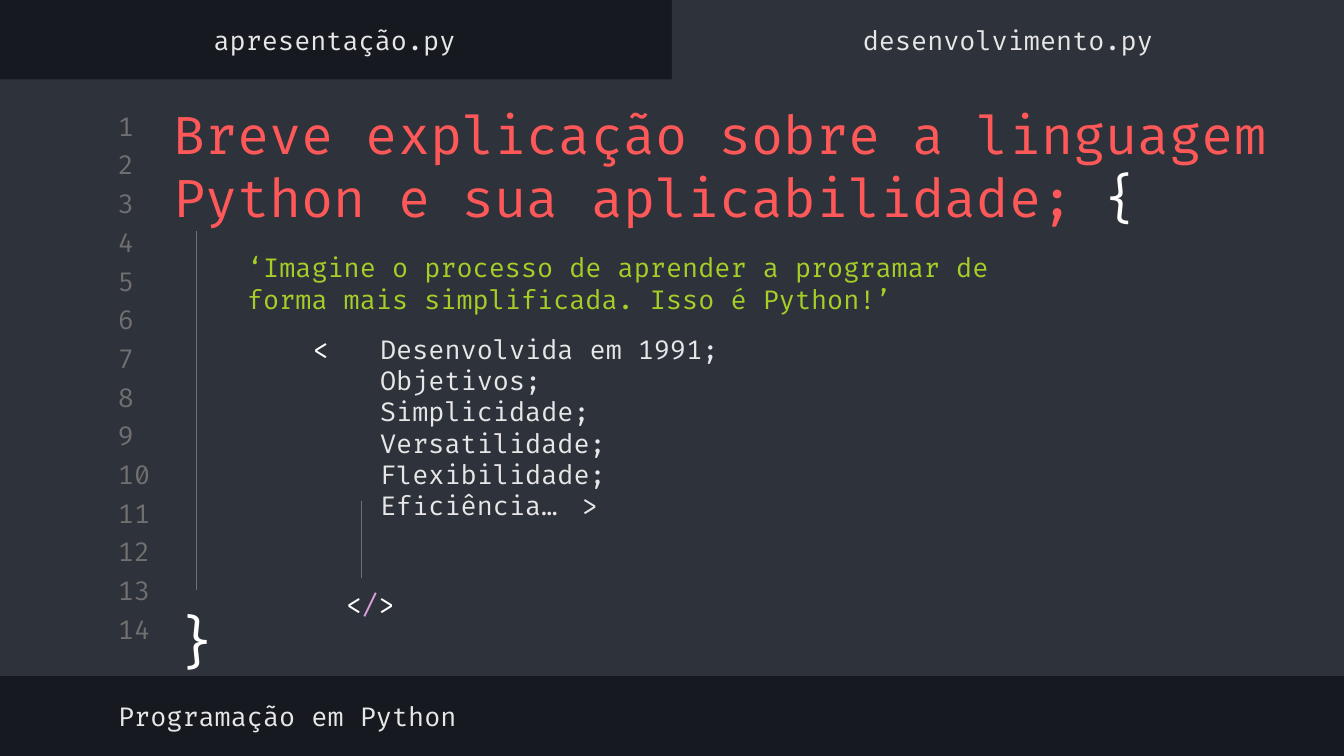
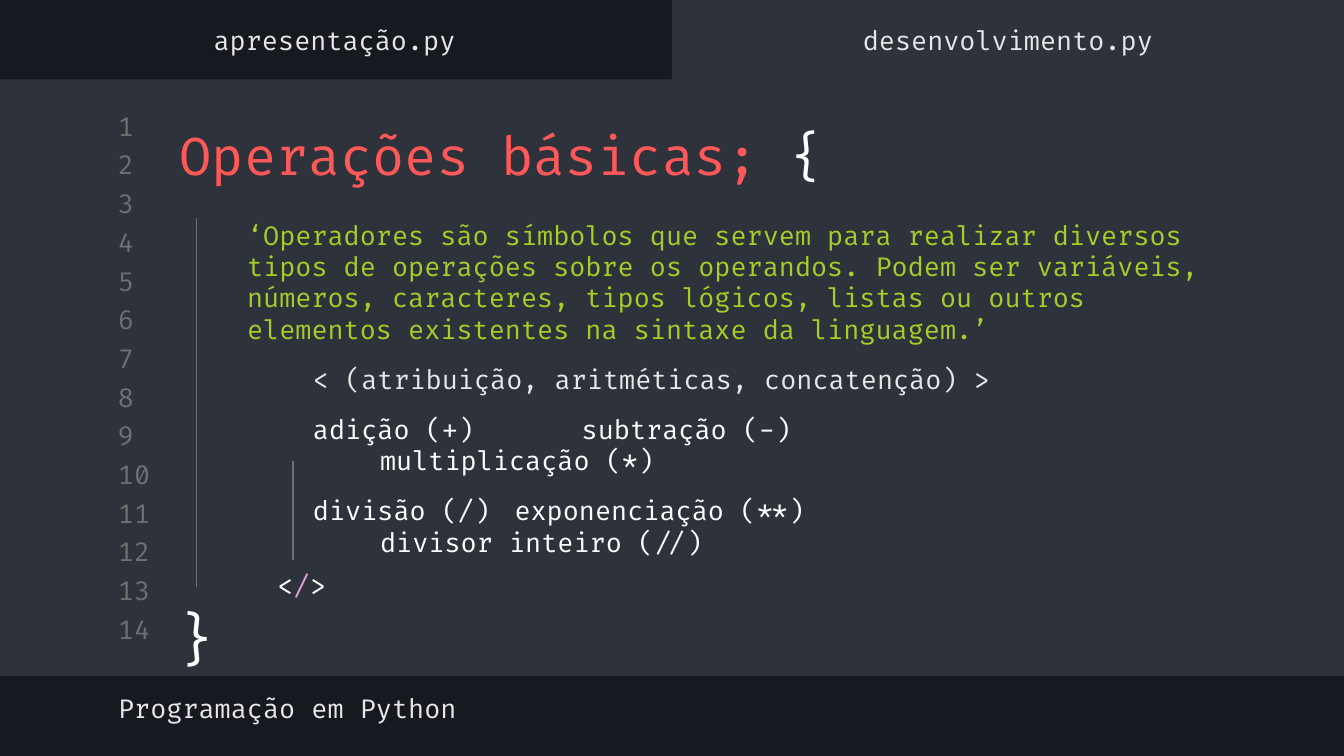
import pptx
import pptx.util
import pptx.dml.color
import pptx.enum.shapes
import pptx.enum.text
import pptx.oxml.ns
from lxml import etree

RGB = pptx.dml.color.RGBColor
NIGHT = RGB(0x16, 0x19, 0x1F)
PANEL = RGB(0x2E, 0x32, 0x3B)
GRAY = RGB(0x70, 0x70, 0x70)
LIGHT = RGB(0xE7, 0xE7, 0xE7)
WHITE = RGB(0xFF, 0xFF, 0xFF)
RED = RGB(0xFF, 0x58, 0x58)
GREEN = RGB(0xA5, 0xCF, 0x27)
PINK = RGB(0xDB, 0xA0, 0xDB)

COLUMNS, ROWS = 100, 56.25
LEFT = pptx.enum.text.PP_ALIGN.LEFT
CENTER = pptx.enum.text.PP_ALIGN.CENTER
qn = pptx.oxml.ns.qn


class Editor:
    font = "Fira Code"
    size = 14

    def __init__(self):
        self.prs = pptx.Presentation()
        self.prs.slide_width = pptx.util.Inches(10)
        self.prs.slide_height = pptx.util.Inches(5.625)
        self.s = None

    def grid(self, *cells):
        units = (self.prs.slide_width / COLUMNS, self.prs.slide_height / ROWS)
        return [round(cell * units[i % 2]) for i, cell in enumerate(cells)]

    def band(self, *box):
        sp = self.s.shapes.add_shape(
            pptx.enum.shapes.MSO_SHAPE.RECTANGLE, *self.grid(*box))
        sp.shadow.inherit = False
        sp.fill.solid()
        sp.fill.fore_color.rgb = PANEL
        sp.line.fill.background()

    def guide(self, x, top, bottom):
        line = self.s.shapes.add_connector(
            pptx.enum.shapes.MSO_CONNECTOR.STRAIGHT, *self.grid(x, top, x, bottom))
        line.line.color.rgb = GRAY
        line.line.width = pptx.util.Pt(0.75)
        etree.SubElement(line._element.spPr, qn("a:effectLst"))

    def paragraph(self, p, parts, size):
        for text, color in parts:
            done = len(p.runs)
            if done == 0:
                p.text = text
            else:
                for i, row in enumerate(text.split("\v")):
                    if i:
                        p.add_line_break()
                    p.add_run().text = row
            for r in p.runs[done:]:
                r.font.name = self.font
                r.font.size = pptx.util.Pt(size)
                r.font.color.rgb = color
        for br in p._p.findall(qn("a:br")):
            etree.SubElement(br, qn("a:rPr"), sz=str(size * 100))

    def text(self, box, *paragraphs, size=size, align=LEFT, grow=False):
        sp = self.s.shapes.add_textbox(*self.grid(*box))
        tf = sp.text_frame
        tf.word_wrap = True
        tf.margin_left = tf.margin_right = pptx.util.Inches(0.1)
        tf.margin_top = tf.margin_bottom = pptx.util.Inches(0.1)
        if grow:
            tf.auto_size = pptx.enum.text.MSO_AUTO_SIZE.SHAPE_TO_FIT_TEXT
        else:
            tf.vertical_anchor = pptx.enum.text.MSO_ANCHOR.MIDDLE
        for i, parts in enumerate(paragraphs):
            p = tf.add_paragraph() if i else tf.paragraphs[0]
            p.alignment = align
            self.paragraph(p, parts, size)
        return tf

    def page(self, footer_top):
        self.s = self.prs.slides.add_slide(self.prs.slide_layouts[6])
        fill = self.s.background.fill
        fill.solid()
        fill.fore_color.rgb = NIGHT
        self.band(0, 5.9, 100, 44.4)
        self.band(50, 0, 50, 6.5)
        for i in range(14):
            self.text((7.8, 8.16 + 2.88 * i, 4.7, 2.4), [(str(i + 1), GRAY)])
        self.text((7.8, footer_top, 53.2, 3.9), [("Programação em Python", LIGHT)])
        for x, name in ((-0.1, "apresentação.py"), (50, "desenvolvimento.py")):
            self.text((x, 1, 50, 3.9), [(name, LIGHT)], align=CENTER)

    def title(self, x, y, title):
        self.text((x, y, 85.1, 9.4), [(title + " ", RED), ("{", WHITE)], size=28)

    def code(self, box, quote, *lines, stops=()):
        tf = self.text(box, [(quote, GREEN)], *lines)
        for p in tf.paragraphs[1:]:
            p.space_before = pptx.util.Pt(10)
            pPr = p._p.get_or_add_pPr()
            pPr.set("marL", str(pptx.util.Inches(0.49)))
            pPr.set("indent", "0")
        for p, tabs in zip(tf.paragraphs[-len(stops):], stops):
            tabLst = etree.SubElement(p._p.get_or_add_pPr(), qn("a:tabLst"))
            for tab in tabs:
                etree.SubElement(tabLst, qn("a:tab"),
                                 pos=str(pptx.util.Inches(tab)), algn="l")

    def closing_brace(self, top, bottom, height):
        self.text((11.9, bottom + 0.2, 5.5, height), [("}", WHITE)],
                  size=30, align=CENTER, grow=True)
        self.guide(14.6, top, bottom)

    def closing_tag(self, x, top, bottom, tag_top):
        self.guide(x, top, bottom)
        self.text((x - 3, tag_top, 7.3, 4.4),
                  [("<", WHITE), ("/", PINK), (">", WHITE)],
                  align=CENTER, grow=True)


def explanation(editor):
    editor.page(51.3)
    editor.title(11.9, 7.6, "Breve explicação sobre a linguagem Python e sua aplicabilidade;")
    topics = ("Desenvolvida em 1991;", "Objetivos;", "Simplicidade;",
              "Versatilidade;", "Flexibilidade;", "Eficiência…\t>")
    editor.code(
        (17.4, 17.2, 60.6, 23.1),
        "‘Imagine o processo de aprender a programar de forma mais simplificada. "
        "Isso é Python!’",
        [("< \t", WHITE), ("\v\t".join(topics), LIGHT)])
    editor.closing_brace(17.2, 43.9, 6.2)
    editor.closing_tag(26.9, 37.3, 43, 42.8)


def operations(editor):
    editor.page(50.7)
    editor.title(12.4, 6.8, "Operações básicas;")
    editor.code(
        (17.4, 15.6, 76, 26.6),
        "‘Operadores são símbolos que servem para realizar diversos tipos de "
        "operações sobre os operandos. Podem ser variáveis, números, caracteres, "
        "tipos lógicos, listas ou outros elementos existentes na sintaxe da linguagem.’",
        [("< (atribuição, aritméticas, concatenção) >", LIGHT)],
        [("adição (+)\t\tsubtração (-)\v\tmultiplicação (*)", WHITE)],
        [("divisão (/)\texponenciação (**)\v\tdivisor inteiro (//)", WHITE)],
        stops=((2.04, 3.72), (1.08, 3.48)))
    editor.closing_brace(16.2, 43.7, 6.4)
    editor.closing_tag(21.8, 34.3, 41.7, 41.4)


def main():
    editor = Editor()
    explanation(editor)
    operations(editor)
    editor.prs.save("out.pptx")


if __name__ == "__main__":
    main()
